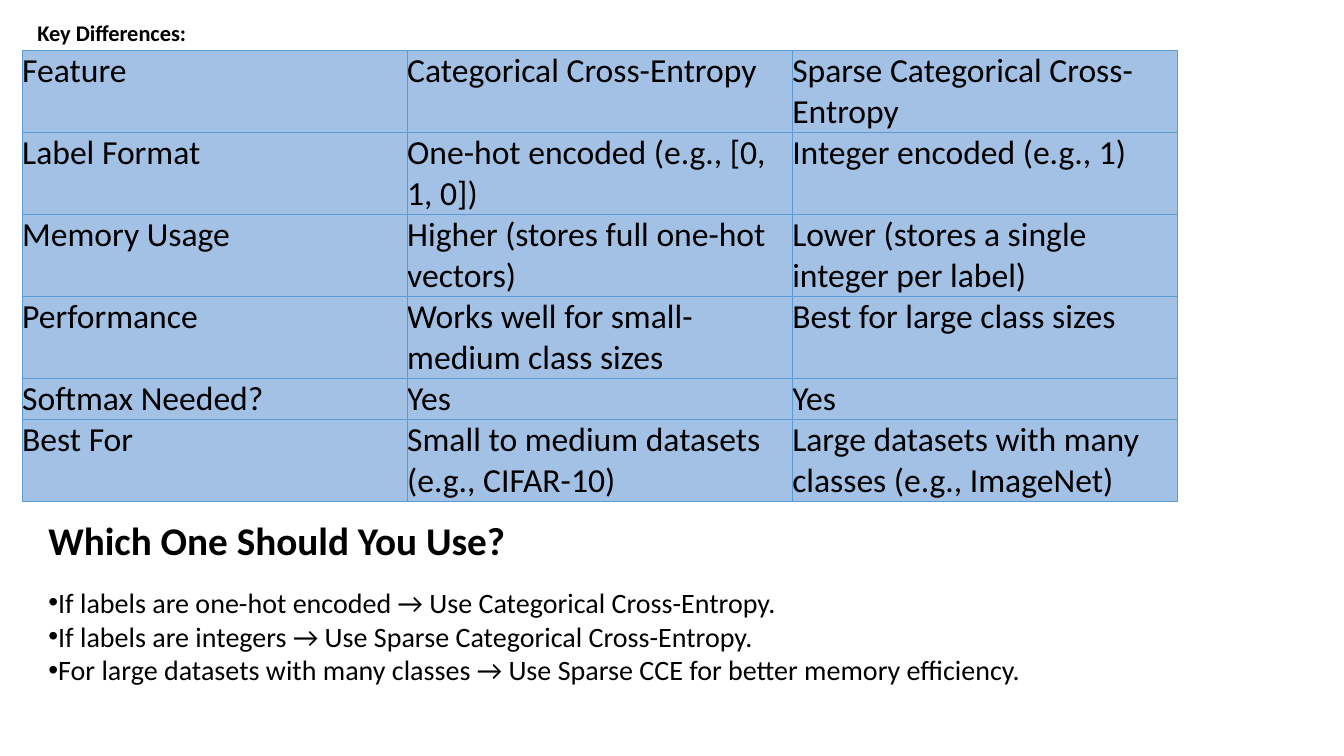
from dataclasses import dataclass

from lxml import etree
from pptx import Presentation, util as u
from pptx.dml import color
from pptx.enum import text
from pptx.oxml import ns

HUES = {"ink": "000000", "cell": "A3C0E5", "rule": "5B9BD5"}
FACE = "Calibri"
WIDE, HIGH = u.Inches(13.33), u.Inches(7.5)
COLS, ROWS = 160, 90


def across(n: float) -> int:
    return round(WIDE * n / COLS)


def down(n: float) -> int:
    return round(HIGH * n / ROWS)


@dataclass
class Box:
    col: float
    row: float
    wide: float
    high: float

    def spot(self) -> tuple[int, int, int, int]:
        return across(self.col), down(self.row), across(self.wide), down(self.high)


@dataclass
class Line:
    words: str
    size: int
    bold: bool = False
    mark: str = ""
    after: int = 0


HEAD = Box(2.64, 1.68, 66.72, 4.44)
GRID = Box(2.64, 6, 137.52, 52.8)
BODY = Box(4.56, 60.84, 128.28, 23.16)
TITLE = [Line("Key Differences:", 16, True)]
CELLS = [
    ("Feature", "Categorical Cross-Entropy", "Sparse Categorical Cross-Entropy"),
    ("Label Format", "One-hot encoded (e.g., [0, 1, 0])", "Integer encoded (e.g., 1)"),
    ("Memory Usage", "Higher (stores full one-hot vectors)",
     "Lower (stores a single integer per label)"),
    ("Performance", "Works well for small-medium class sizes",
     "Best for large class sizes"),
    ("Softmax Needed?", "Yes", "Yes"),
    ("Best For", "Small to medium datasets (e.g., CIFAR-10)",
     "Large datasets with many classes (e.g., ImageNet)"),
]
TALL = [9.6, 9.6, 9.6, 9.6, 4.8, 9.6]
ADVICE = [Line("Which One Should You Use?", 28, True, after=16)] + [
    Line(words, 20, mark="•") for words in (
        "If labels are one-hot encoded → Use Categorical Cross-Entropy.",
        "If labels are integers → Use Sparse Categorical Cross-Entropy.",
        "For large datasets with many classes → Use Sparse CCE for better memory efficiency.",
    )
]


def style(para, size: int, bold: bool = False) -> None:
    for run in para.runs:
        run.font.name = FACE
        run.font.size = u.Pt(size)
        run.font.bold = bold
        run.font.color.rgb = color.RGBColor.from_string(HUES["ink"])


def bullet(para, mark: str) -> None:
    props = para._p.get_or_add_pPr()
    props.set("marL", "0")
    props.set("indent", "0")
    kind = "a:buChar" if mark else "a:buNone"
    node = etree.SubElement(props, ns.qn(kind))
    if mark:
        node.set("char", mark)


def write(shape, box: Box, lines: list[Line], anchor) -> None:
    shape.left, shape.top, shape.width, shape.height = box.spot()
    frame = shape.text_frame
    frame.word_wrap = True
    frame.auto_size = text.MSO_AUTO_SIZE.NONE
    frame.vertical_anchor = anchor
    frame.text = "\n".join(line.words for line in lines)
    for para, line in zip(frame.paragraphs, lines):
        bullet(para, line.mark)
        para.alignment = text.PP_ALIGN.LEFT
        para.space_before = u.Pt(0)
        para.space_after = u.Pt(line.after)
        style(para, line.size, line.bold)


def border(cell) -> None:
    props = cell._tc.get_or_add_tcPr()
    for side in ("a:lnL", "a:lnR", "a:lnT", "a:lnB"):
        edge = etree.SubElement(props, ns.qn(side), w=str(u.Pt(0.5)))
        fill = etree.SubElement(edge, ns.qn("a:solidFill"))
        etree.SubElement(fill, ns.qn("a:srgbClr"), val=HUES["rule"])


def tabulate(slide, box: Box) -> None:
    table = slide.shapes.add_table(len(CELLS), len(CELLS[0]), *box.spot()).table
    table.first_row = table.horz_banding = False
    for col in table.columns:
        col.width = across(box.wide / len(CELLS[0]))
    for row, high, words in zip(table.rows, TALL, CELLS):
        row.height = down(high)
        for cell, word in zip(row.cells, words):
            cell.margin_left = cell.margin_right = 0
            cell.margin_top = cell.margin_bottom = 0
            border(cell)
            cell.fill.solid()
            cell.fill.fore_color.rgb = color.RGBColor.from_string(HUES["cell"])
            cell.text_frame.text = word
            style(cell.text_frame.paragraphs[0], 24)


def main() -> None:
    deck = Presentation()
    deck.slide_width, deck.slide_height = WIDE, HIGH
    slide = deck.slides.add_slide(deck.slide_layouts[1])
    title, body = slide.placeholders
    write(title, HEAD, TITLE, text.MSO_ANCHOR.MIDDLE)
    title.text_frame.margin_left = across(1.8)
    tabulate(slide, GRID)
    write(body, BODY, ADVICE, text.MSO_ANCHOR.TOP)
    deck.save("out.pptx")


if __name__ == "__main__":
    main()
